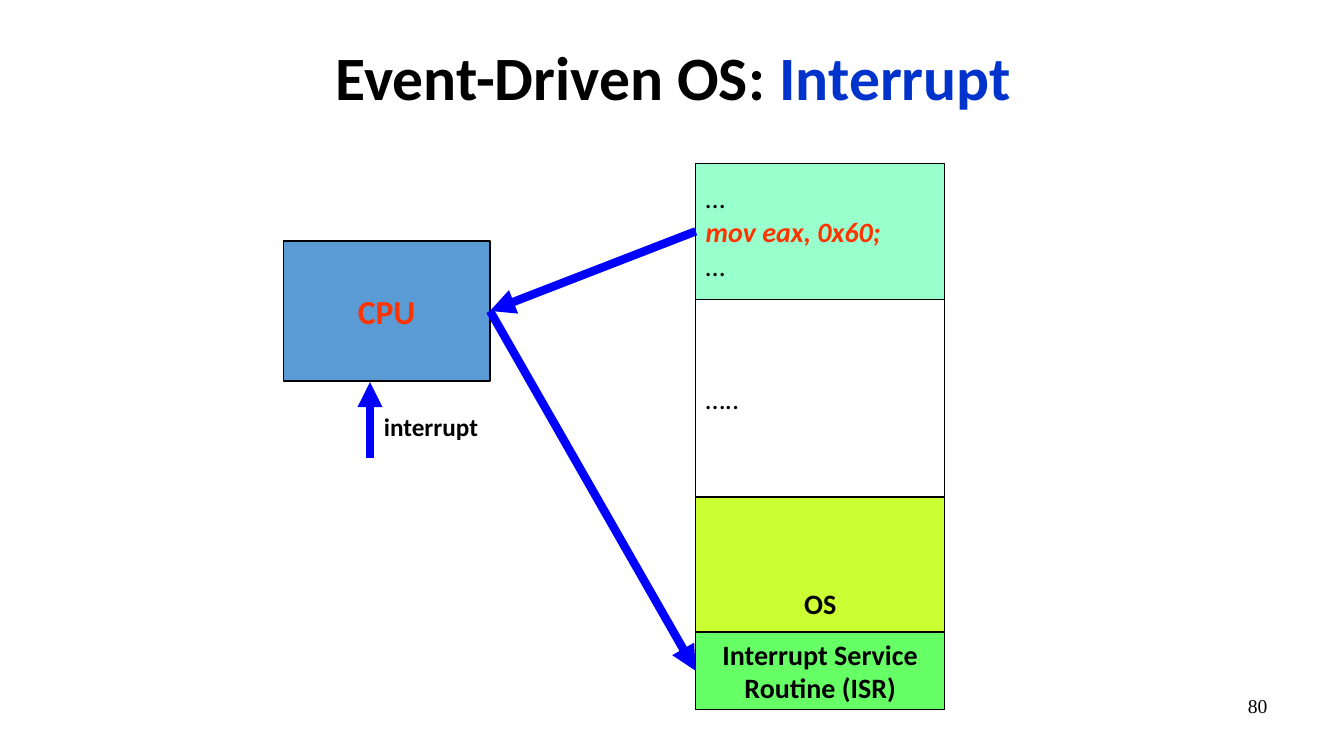
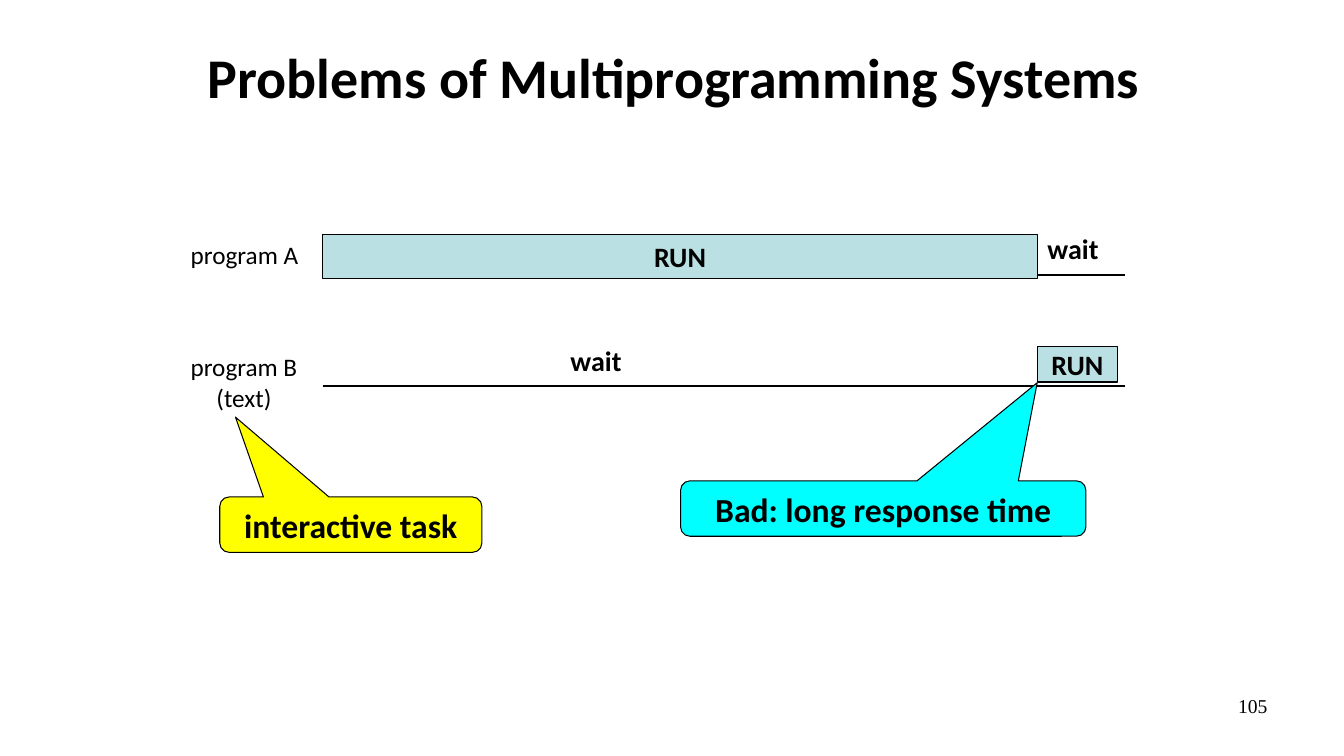
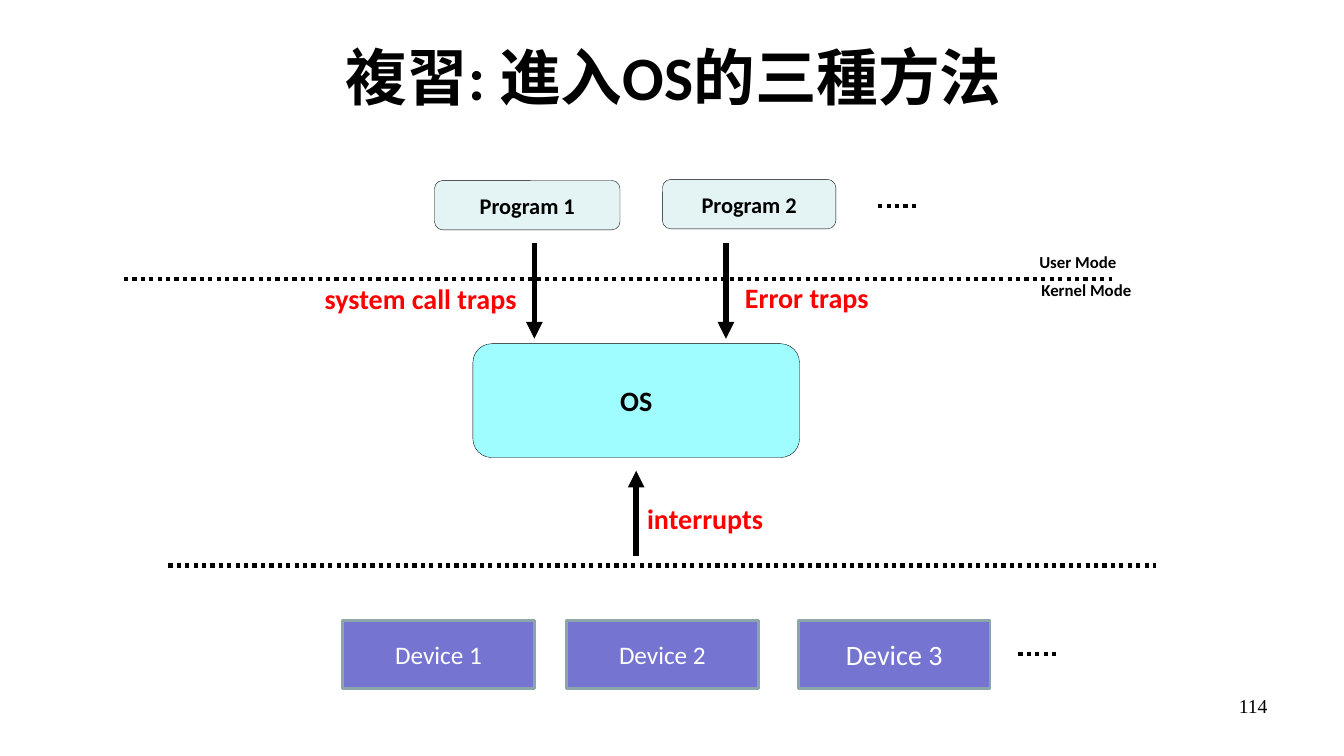
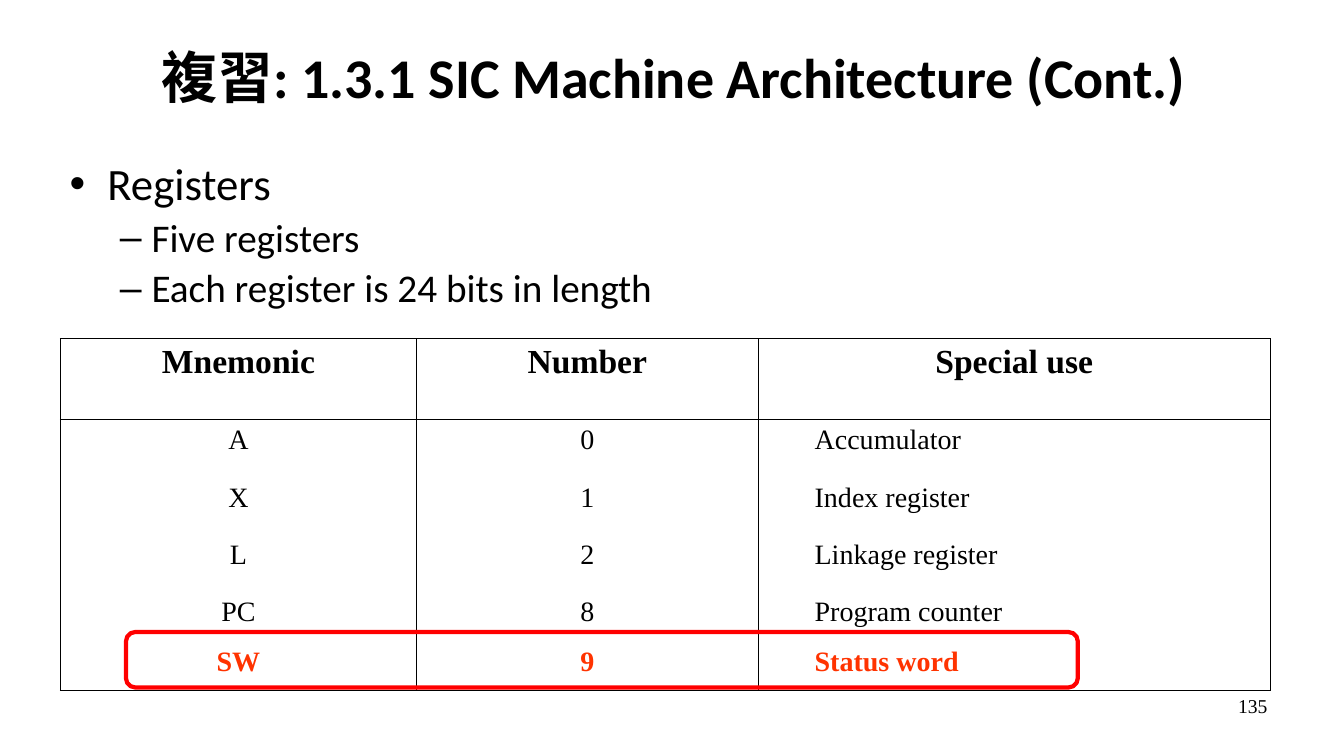
"""Build four lecture slides on operating systems and the SIC machine."""
from dataclasses import dataclass, replace
from typing import Any, Optional

from lxml import etree
from pptx import Presentation
from pptx.dml.color import RGBColor
from pptx.enum.dml import MSO_LINE
from pptx.enum.shapes import MSO_CONNECTOR, MSO_SHAPE
from pptx.enum.text import MSO_ANCHOR, MSO_AUTO_SIZE, PP_ALIGN
from pptx.oxml.ns import qn
from pptx.util import Emu, Pt

PX = 9144
LEFT, CENTER, RIGHT = PP_ALIGN.LEFT, PP_ALIGN.CENTER, PP_ALIGN.RIGHT
TOP, MIDDLE = MSO_ANCHOR.TOP, MSO_ANCHOR.MIDDLE
RECT, ROUND = MSO_SHAPE.RECTANGLE, MSO_SHAPE.ROUNDED_RECTANGLE
CALLOUT = MSO_SHAPE.ROUNDED_RECTANGULAR_CALLOUT
STRAIGHT = MSO_CONNECTOR.STRAIGHT
DOTTED = MSO_LINE.ROUND_DOT
NO_FIT, FIT_SHAPE = MSO_AUTO_SIZE.NONE, MSO_AUTO_SIZE.SHAPE_TO_FIT_TEXT
SIDE_LEFT, SIDE_RIGHT = 1, 3

Place = tuple[int, int, int, int]


@dataclass(frozen=True)
class Theme:
    """Colours, fonts, type sizes and frames that the slides share."""

    sans: str = "Calibri"
    serif: str = "Times New Roman"
    black: str = "000000"
    white: str = "FFFFFF"
    blue: str = "0033CC"
    arrow: str = "0000FF"
    orange: str = "FF3300"
    red: str = "FF0000"
    mint: str = "99FFCC"
    lime: str = "CCFF33"
    green: str = "66FF66"
    cpu: str = "5B9BD5"
    run: str = "BBE0E3"
    yellow: str = "FFFF00"
    cyan: str = "00FFFF"
    program: str = "E4F3F4"
    kernel: str = "9FFDFF"
    device: str = "7575D1"
    device_edge: str = "8AA6A8"
    title: int = 44
    title_small: int = 40
    level1: int = 32
    level2: int = 28
    large: int = 24
    medium: int = 20
    label: int = 18
    program_name: int = 16
    number: int = 14
    mode: int = 12
    title_at: Place = (68, 13, 1200, 125)
    number_at: Place = (956, 683, 311, 52)


T = Theme()


@dataclass(frozen=True)
class Run:
    """A stretch of text in one format."""

    text: str
    size: int = T.medium
    color: str = T.black
    bold: bool = True
    italic: bool = False
    font: str = T.sans


@dataclass(frozen=True)
class Box:
    """A preset shape with its text, one run a paragraph."""

    at: Place
    fill: Optional[str] = None
    runs: tuple[Run, ...] = ()
    line: str = T.black
    width: float = 1
    kind: Any = RECT
    align: Any = CENTER
    anchor: Any = MIDDLE
    adjust: tuple[float, ...] = ()


@dataclass(frozen=True)
class Label:
    """Free text that does not wrap, one run a paragraph."""

    at: Place
    runs: tuple[Run, ...]
    align: Any = LEFT


@dataclass(frozen=True)
class Line:
    """A straight line between two points."""

    start: tuple[int, int]
    end: tuple[int, int]
    width: float = 1
    color: str = T.black
    arrow: bool = False
    dash: Any = None


def emu(*lengths: int) -> list[Emu]:
    """Turn px lengths into EMU."""
    return [Emu(n * PX) for n in lengths]


def apply(target: Any, values: dict[str, Any]) -> None:
    """Set each named attribute of the target."""
    for name, value in values.items():
        setattr(target, name, value)


def add_run(p: Any, run: Run) -> None:
    """Append a formatted run to a paragraph."""
    r = p.add_run()
    r.text = run.text
    apply(r.font, {"name": run.font, "size": Pt(run.size),
                   "bold": run.bold, "italic": run.italic})
    r.font.color.rgb = RGBColor.from_string(run.color)


def fill_text(tf: Any, runs: tuple[Run, ...], align: Any) -> None:
    """Write each run as a paragraph of the frame."""
    for i, run in enumerate(runs):
        p = tf.add_paragraph() if i else tf.paragraphs[0]
        p.alignment = align
        add_run(p, run)


def add_box(s: Any, box: Box) -> Any:
    """Draw a preset shape."""
    sp = s.shapes.add_shape(box.kind, *emu(*box.at))
    sp.shadow.inherit = False
    for i, value in enumerate(box.adjust):
        sp.adjustments[i] = value
    if box.fill:
        sp.fill.solid()
        sp.fill.fore_color.rgb = RGBColor.from_string(box.fill)
    else:
        sp.fill.background()
    sp.line.color.rgb = RGBColor.from_string(box.line)
    sp.line.width = Pt(box.width)
    apply(sp.text_frame, {"word_wrap": True, "vertical_anchor": box.anchor})
    fill_text(sp.text_frame, box.runs, box.align)
    return sp


def add_label(s: Any, label: Label) -> None:
    """Draw free text."""
    tf = s.shapes.add_textbox(*emu(*label.at)).text_frame
    apply(tf, {"word_wrap": False, "auto_size": FIT_SHAPE})
    fill_text(tf, label.runs, label.align)


def add_line(s: Any, line: Line) -> Any:
    """Draw a line, with an arrowhead at its end if asked."""
    cx = s.shapes.add_connector(STRAIGHT, *emu(*line.start, *line.end))
    cx.line.color.rgb = RGBColor.from_string(line.color)
    cx.line.width = Pt(line.width)
    if line.dash:
        cx.line.dash_style = line.dash
    if line.arrow:
        etree.SubElement(cx.line._get_or_add_ln(), qn("a:tailEnd"), type="triangle")
    etree.SubElement(cx._element.spPr, qn("a:effectLst"))
    return cx


def join(s: Any, source: Any, side: int, target: Any, target_side: int) -> None:
    """Draw a thick arrow joined to two shapes."""
    cx = add_line(s, Line((0, 0), (0, 0), 6, T.arrow, True))
    cx.begin_connect(source, side)
    cx.end_connect(target, target_side)


def add_slide(prs: Any, layout: int, number: int, *title: Run) -> Any:
    """Add a slide with its title and page number."""
    s = prs.slides.add_slide(prs.slide_layouts[layout])
    sp = s.shapes.title
    apply(sp, dict(zip(("left", "top", "width", "height"), emu(*T.title_at))))
    apply(sp.text_frame, {"word_wrap": True, "auto_size": NO_FIT,
                          "vertical_anchor": MIDDLE})
    p = sp.text_frame.paragraphs[0]
    p.alignment = CENTER
    for run in title:
        add_run(p, run)
    tf = s.shapes.add_textbox(*emu(*T.number_at)).text_frame
    tf.word_wrap = True
    fill_text(tf, (Run(str(number), T.number, bold=False, font=T.serif),), RIGHT)
    return s


def interrupt_slide(prs: Any) -> None:
    """Show how an interrupt leads the CPU to the service routine."""
    s = add_slide(prs, 5, 80, Run("Event-Driven OS: ", T.title),
                  Run("Interrupt", T.title, T.blue))
    dots = Run("…", bold=False)
    code = add_box(s, Box((690, 162, 247, 135), T.mint, (
        dots, Run("mov eax, 0x60;", color=T.orange, italic=True), dots), align=LEFT))
    add_box(s, Box((690, 493, 247, 211), T.lime, (Run("OS"),)))
    add_box(s, Box((690, 297, 247, 196), None, (Run("…..", bold=False),), align=LEFT))
    cpu = add_box(s, Box((281, 239, 205, 139), T.cpu, (Run("CPU", T.large, T.orange),)))
    isr = add_box(s, Box((690, 627, 247, 77), T.green, (
        Run("Interrupt Service"), Run("Routine (ISR)"))))
    join(s, code, SIDE_LEFT, cpu, SIDE_RIGHT)
    join(s, cpu, SIDE_RIGHT, isr, SIDE_LEFT)
    add_line(s, Line((367, 454), (367, 379), 6, T.arrow, True))
    add_label(s, Label((371, 403, 114, 40), (Run("interrupt", T.label),)))


def multiprogramming_slide(prs: Any) -> None:
    """Show the timelines of two programs that share the CPU."""
    s = add_slide(prs, 5, 105,
                  Run("Problems of Multiprogramming Systems", T.title_small))
    for y in (273, 383):
        add_line(s, Line((320, y), (1116, y)))
    for at in ((320, 233, 709, 43), (1029, 344, 79, 35)):
        add_box(s, Box(at, T.run, (Run("RUN"),), width=0.75))
    for at, names in (((178, 233, 129, 40), ("program A",)),
                      ((178, 344, 128, 70), ("program B", "(text)"))):
        runs = tuple(Run(name, T.label, bold=False) for name in names)
        add_label(s, Label(at, runs, CENTER))
    for x, y in ((556, 336), (1029, 225)):
        add_label(s, Label((x, y, 71, 43), (Run("wait"),)))
    for at, fill, text, tip in (
            ((218, 493, 260, 55), T.yellow, "interactive task", (-0.44, -1.94)),
            ((675, 477, 402, 55), T.cyan, "Bad: long response time", (0.38, -2.27))):
        add_box(s, Box(at, fill, (Run(text, T.large),), width=0.75,
                       kind=CALLOUT, anchor=TOP, adjust=(*tip, 0.17)))


def entry_slide(prs: Any) -> None:
    """Show the three ways into the operating system."""
    s = add_slide(prs, 5, 114, Run("複習: 進入OS的三種方法", T.title))
    for x, y, length in ((123, 277, 980), (871, 204, 39),
                         (167, 561, 980), (1010, 649, 40)):
        add_line(s, Line((x, y), (x + length, y), 3, dash=DOTTED))
    for at, text in (((1013, 245, 112, 32), "User Mode"),
                     ((1014, 273, 127, 32), "Kernel Mode")):
        add_label(s, Label(at, (Run(text, T.mode),), CENTER))
    for at, fill, run in (
            ((431, 179, 184, 49), T.program, Run("Program 1", T.program_name)),
            ((657, 178, 172, 49), T.program, Run("Program 2", T.program_name)),
            ((469, 341, 324, 113), T.kernel, Run("OS"))):
        add_box(s, Box(at, fill, (run,), width=0.25, kind=ROUND))
    for x, start, end in ((530, 241, 336), (720, 241, 336), (631, 552, 467)):
        add_line(s, Line((x, start), (x, end), 4, arrow=True))
    for at, text in (((312, 274, 212, 44), "system call traps"),
                     ((632, 493, 136, 44), "interrupts"),
                     ((729, 273, 144, 44), "Error traps")):
        add_label(s, Label(at, (Run(text, color=T.red),)))
    devices = ((340, T.label), (562, T.label), (792, T.medium))
    for i, (x, size) in enumerate(devices, 1):
        add_box(s, Box((x, 616, 190, 67), T.device,
                       (Run(f"Device {i}", size, T.white, False),), T.device_edge, 2))


def set_borders(cell: Any, shown: str) -> None:
    """Draw the sides named by their letters and hide the others."""
    tc_pr = cell._tc.get_or_add_tcPr()
    for side in "LRTB":
        ln = etree.SubElement(tc_pr, qn(f"a:ln{side}"), w=str(Pt(1)))
        if side in shown:
            fill = etree.SubElement(ln, qn("a:solidFill"))
            etree.SubElement(fill, qn("a:srgbClr"), val=T.black)
        else:
            etree.SubElement(ln, qn("a:noFill"))


def add_register_table(s: Any) -> None:
    """Draw the table of registers."""
    rows = (("Mnemonic", "Number", "Special use"),
            ("A", "0", "Accumulator"),
            ("X", "1", "Index register"),
            ("L", "2", "Linkage register"),
            ("PC", "8", "Program counter"),
            ("SW", "9", "Status word"))
    widths, heights = (353, 339, 508), (80, 58, 56, 57, 49, 49)
    table = s.shapes.add_table(len(rows), len(widths), *emu(
        60, 336, sum(widths), sum(heights))).table
    apply(table, {"first_row": False, "horz_banding": False})
    for column, width in zip(table.columns, emu(*widths)):
        column.width = width
    for row, height in zip(table.rows, emu(*heights)):
        row.height = height
    last = len(rows) - 1
    plain = Run("", bold=False, font=T.serif)
    styles = {0: replace(plain, size=T.large, bold=True),
              last: replace(plain, color=T.orange, bold=True)}
    borders = {0: "LRTB", 1: "LRT", last: "LRB"}
    for i, texts in enumerate(rows):
        for j, text in enumerate(texts):
            cell = table.cell(i, j)
            use = i > 0 and j == 2
            set_borders(cell, borders.get(i, "LR"))
            cell.fill.background()
            margins = emu(56 if use else 14, 14, 5, 5)
            apply(cell, dict(zip(("margin_left", "margin_right",
                                  "margin_top", "margin_bottom"), margins)))
            run = replace(styles.get(i, plain), text=text)
            fill_text(cell.text_frame, (run,), LEFT if use else CENTER)


def register_slide(prs: Any) -> None:
    """List the registers of the SIC machine."""
    s = add_slide(prs, 1, 135,
                  Run("複習: 1.3.1 SIC Machine Architecture (Cont.)", T.title_small))
    body = s.placeholders[1]
    apply(body, dict(zip(("left", "top", "width", "height"), emu(59, 155, 860, 193))))
    tf = body.text_frame
    apply(tf, {"word_wrap": True, "auto_size": NO_FIT, "vertical_anchor": TOP})
    fill_text(tf, (Run("Registers", T.level1, bold=False),
                   Run("Five registers", T.level2, bold=False),
                   Run("Each register is 24 bits in length", T.level2, bold=False)), LEFT)
    for i, p in enumerate(tf.paragraphs):
        apply(p, {"level": min(i, 1), "line_spacing": 0.9,
                  "space_before": Pt(6 if i else 0)})
    add_register_table(s)
    add_box(s, Box((125, 627, 944, 55), line=T.red, width=3, kind=ROUND))


def main() -> None:
    """Build and save the presentation."""
    prs = Presentation()
    prs.slide_width, prs.slide_height = emu(1333, 750)
    for build in (interrupt_slide, multiprogramming_slide, entry_slide, register_slide):
        build(prs)
    prs.save("out.pptx")


if __name__ == "__main__":
    main()
